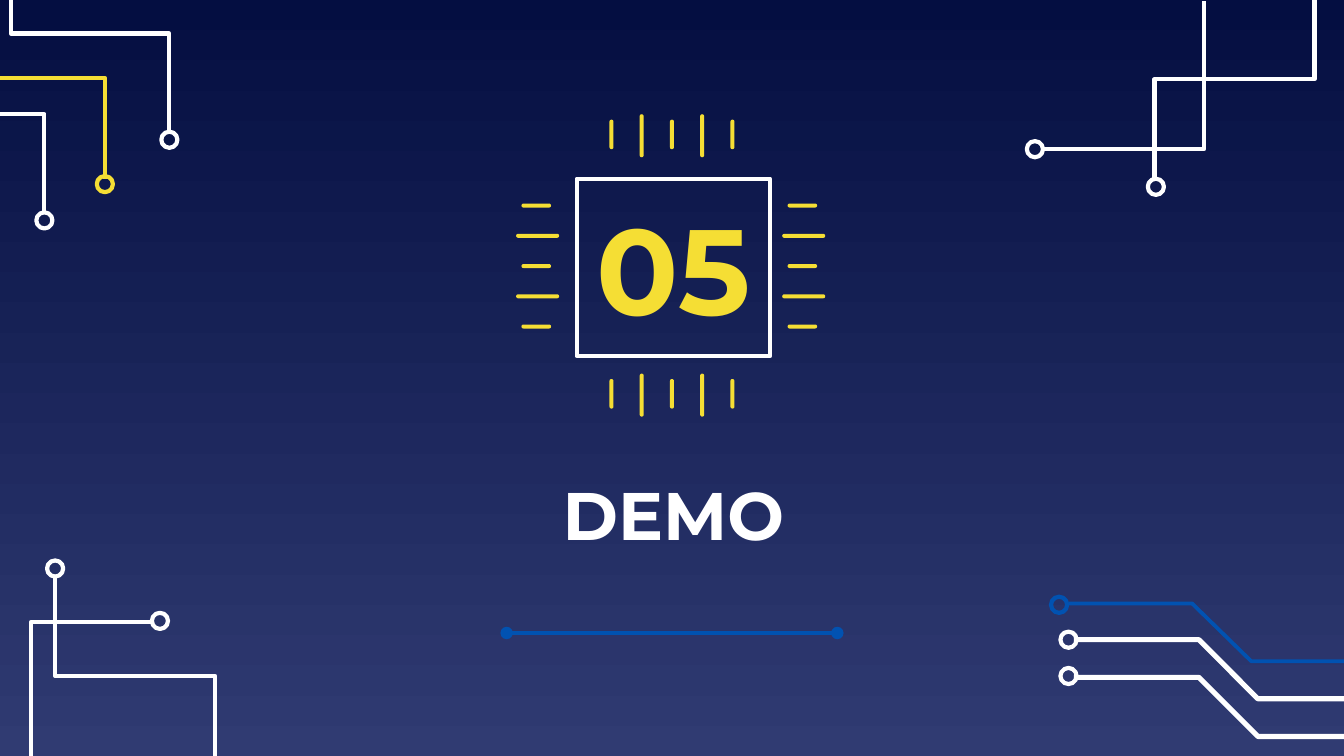
from pptx import Presentation
from pptx.dml.color import RGBColor
from pptx.enum.shapes import MSO_CONNECTOR as Connector, MSO_SHAPE as Preset
from pptx.enum.text import MSO_ANCHOR as Anchor, MSO_AUTO_SIZE as AutoSize, PP_ALIGN as Align
from pptx.oxml.ns import qn
from pptx.util import Inches, Pt
from lxml.etree import SubElement

WHITE = RGBColor(0xFF, 0xFF, 0xFF)
YELLOW = RGBColor(0xF5, 0xDE, 0x34)
BLUE = RGBColor(0x01, 0x52, 0xB1)
NAVY = RGBColor(0x04, 0x0E, 0x41)
INDIGO = RGBColor(0x30, 0x3B, 0x72)
FONT = "Montserrat"
LINE = 2.25

# Content: text, box (left, top, width, height), size, colour
TITLE = ("DEMO", (2.46, 3.49, 5.1, 0.67), 36, WHITE)
NUMBER = ("05", (4.29, 1.33, 1.44, 1.32), 65, YELLOW)

# Circuit traces: pad centre, colour, line width, points of the path
TRACES = [
    ((0.41, 4.23), WHITE, LINE, [(0.41, 4.28), (0.41, 5.03), (1.6, 5.03), (1.6, 5.72)]),
    ((1.19, 4.62), WHITE, LINE, [(1.13, 4.63), (0.23, 4.63), (0.23, 5.71)]),
    ((7.7, 1.11), WHITE, LINE, [(7.75, 1.11), (8.96, 1.11), (8.96, 0.01)]),
    ((8.6, 1.39), WHITE, LINE, [(8.59, 1.33), (8.59, 0.59), (9.78, 0.59), (9.78, -0.11)]),
    ((0.33, 1.64), WHITE, LINE, [(0.33, 1.59), (0.33, 0.85), (-0.86, 0.85), (-0.86, 0.16)]),
    ((0.78, 1.37), YELLOW, LINE, [(0.78, 1.33), (0.78, 0.58), (-0.4, 0.58), (-0.4, -0.11)]),
    ((1.26, 1.04), WHITE, LINE, [(1.26, 1), (1.26, 0.25), (0.08, 0.25), (0.08, -0.43)]),
    ((7.88, 4.5), BLUE, 2, [(7.95, 4.49), (8.87, 4.49), (9.31, 4.92), (10.05, 4.92)]),
    ((7.95, 4.76), WHITE, 2.75, [(7.99, 4.76), (8.92, 4.76), (9.36, 5.2), (10.09, 5.2)]),
    ((7.95, 5.03), WHITE, 2.75, [(7.99, 5.04), (8.92, 5.04), (9.36, 5.48), (10.09, 5.48)]),
]
PAD = 0.12

# Chip pins: five per side, short and long in turn; long ones sit a little off centre
PINS = [(0.22, 0), (0.32, 0.01), (0.22, 0), (0.32, 0.01), (0.22, 0)]
PIN_WIDTH, PIN_SPAN = 0.03, 0.9
CHIP_CENTRE = (5.0, 1.98)
PIN_COLUMNS = {"left": 3.99, "right": 5.97}
PIN_ROWS = {"top": 1.0, "bottom": 2.93}


def place(shape, box):
    shape.left, shape.top, shape.width, shape.height = map(Inches, box)


def outline(shape, colour, width=LINE):
    shape.line.color.rgb = colour
    shape.line.width = Pt(width)


def fill_placeholder(shape, text, box, size, colour):
    place(shape, box)
    frame = shape.text_frame
    frame_format = {"text": text, "word_wrap": True, "auto_size": AutoSize.NONE,
                    "vertical_anchor": Anchor.MIDDLE}
    for side in ("left", "top", "right", "bottom"):
        frame_format["margin_" + side] = Inches(0.1)
    for name, value in frame_format.items():
        setattr(frame, name, value)
    paragraph = frame.paragraphs[0]
    paragraph.alignment = Align.CENTER
    paragraph.space_before = Pt(0)
    font = paragraph.runs[0].font
    for name, value in {"name": FONT, "size": Pt(size), "bold": True}.items():
        setattr(font, name, value)
    font.color.rgb = colour


def add_trace(shapes, pad_centre, colour, width, points):
    corners = [(Inches(x), Inches(y)) for x, y in points]
    builder = shapes.build_freeform(*corners[0])
    builder.add_line_segments(corners[1:], close=False)
    trace = builder.convert_to_shape()
    x, y = pad_centre
    pad = shapes.add_shape(Preset.OVAL, 0, 0, 0, 0)
    place(pad, (x - PAD / 2, y - PAD / 2, PAD, PAD))
    for shape, line_width in ((trace, width), (pad, LINE)):
        shape.shadow.inherit = False
        shape.fill.background()
        outline(shape, colour, line_width)


def add_pin(shapes, x, y, width, height):
    pin = shapes.add_shape(Preset.ROUNDED_RECTANGLE, 0, 0, 0, 0)
    place(pin, (x - width / 2, y - height / 2, width, height))
    pin.adjustments[0] = 0.5
    pin.shadow.inherit = False
    pin.fill.solid()
    pin.fill.fore_color.rgb = YELLOW
    pin.line.fill.background()


def main():
    # Wide 16:9 slide
    presentation = Presentation()
    presentation.slide_width = Inches(10)
    presentation.slide_height = Inches(10 * 9 / 16)
    slide = presentation.slides.add_slide(presentation.slide_layouts.get_by_name("Section Header"))
    shapes = slide.shapes

    # Background gradient, dark at the top
    background = slide.background.fill
    background.gradient()
    background.gradient_angle = 270
    for stop, colour in zip(background.gradient_stops, (NAVY, INDIGO)):
        stop.color.rgb = colour

    # Title and the section number inside the chip
    fill_placeholder(shapes.title, *TITLE)
    chip = slide.placeholders[1]
    fill_placeholder(chip, *NUMBER)
    outline(chip, WHITE)

    # Corner circuits
    for trace in TRACES:
        add_trace(shapes, *trace)

    # Pins around the chip
    centre_x, centre_y = CHIP_CENTRE
    for index, (length, shift) in enumerate(PINS):
        offset = PIN_SPAN * (index / (len(PINS) - 1) - 0.5)
        for x in PIN_COLUMNS.values():
            add_pin(shapes, x + shift, centre_y + offset, length, PIN_WIDTH)
        for y in PIN_ROWS.values():
            add_pin(shapes, centre_x + offset, y + shift, PIN_WIDTH, length)

    # Rule with round ends under the title
    rule = shapes.add_connector(Connector.STRAIGHT, Inches(3.77), Inches(4.71),
                                Inches(6.23), Inches(4.71))
    outline(rule, BLUE)
    line = rule.line._get_or_add_ln()
    for end in ("a:headEnd", "a:tailEnd"):
        SubElement(line, qn(end), type="oval")
    SubElement(rule._element.spPr, qn("a:effectLst"))

    presentation.save("out.pptx")


if __name__ == "__main__":
    main()
